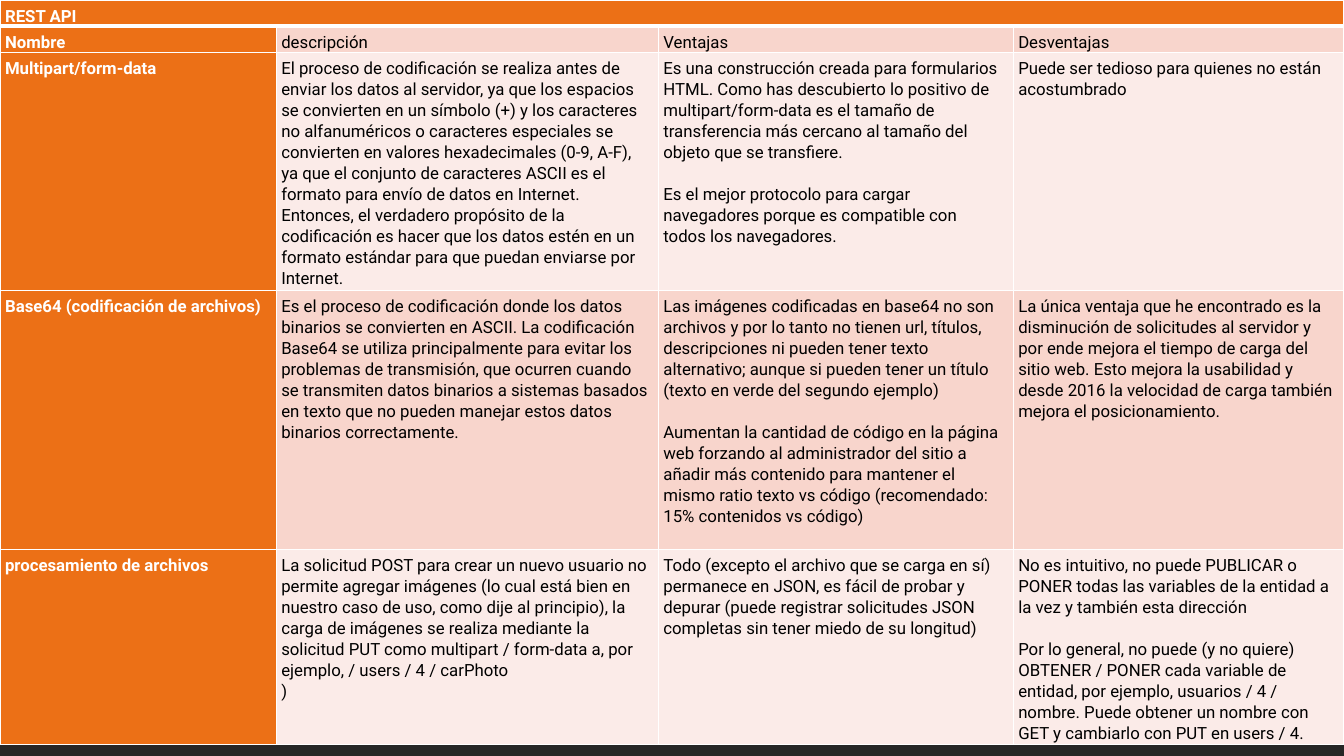
import pptx
import pptx.dml.color
import pptx.enum.shapes
import pptx.oxml
import pptx.oxml.ns
import pptx.util

Inches, Pt = pptx.util.Inches, pptx.util.Pt
ORANGE, ROSE, PALE, WHITE, BLACK, CHARCOAL = "EC7016", "F8D5CC", "FBEBE8", "FFFFFF", "000000", "262626"
LINE_HEIGHT = 15

COLUMN_WIDTHS = [2.74, 3.79, 3.52, 3.28]
ROW_HEIGHTS = [0.25, 0.25, 2.36, 2.57, 1.94]
COMPARISON = [
    [["REST API"], [], [], []],
    [["Nombre"], ["descripción"], ["Ventajas"], ["Desventajas"]],
    [
        ["Multipart/form-data"],
        ["El proceso de codificación se realiza antes de enviar los datos al servidor, ya que los "
         "espacios se convierten en un símbolo (+) y los caracteres no alfanuméricos o caracteres "
         "especiales se convierten en valores hexadecimales (0-9, A-F), ya que el conjunto de "
         "caracteres ASCII es el formato para envío de datos en Internet. Entonces, el verdadero "
         "propósito de la codificación es hacer que los datos estén en un formato estándar para "
         "que puedan enviarse por Internet."],
        ["Es una construcción creada para formularios HTML. Como has descubierto lo positivo "
         "de multipart/form-data es el tamaño de transferencia más cercano al tamaño del objeto "
         "que se transfiere.",
         "Es el mejor protocolo para cargar navegadores porque es compatible con todos los "
         "navegadores."],
        ["Puede ser tedioso para quienes no están acostumbrado"],
    ],
    [
        ["Base64 (codificación de archivos)"],
        ["Es el proceso de codificación donde los datos binarios se convierten en ASCII. La "
         "codificación Base64 se utiliza principalmente para evitar los problemas de transmisión, "
         "que ocurren cuando se transmiten datos binarios a sistemas basados en texto que no "
         "pueden manejar estos datos binarios correctamente."],
        ["Las imágenes codificadas en base64 no son archivos y por lo tanto no tienen url, "
         "títulos, descripciones ni pueden tener texto alternativo; aunque si pueden tener un "
         "título (texto en verde del segundo ejemplo)",
         "Aumentan la cantidad de código en la página web forzando al administrador del sitio a "
         "añadir más contenido para mantener el mismo ratio texto vs código (recomendado: 15% "
         "contenidos vs código)"],
        ["La única ventaja que he encontrado es la disminución de solicitudes al servidor y por "
         "ende mejora el tiempo de carga del sitio web. Esto mejora la usabilidad y desde 2016 la "
         "velocidad de carga también mejora el posicionamiento."],
    ],
    [
        ["procesamiento de archivos"],
        ["La solicitud POST para crear un nuevo usuario no permite agregar imágenes (lo cual está "
         "bien en nuestro caso de uso, como dije al principio), la carga de imágenes se realiza "
         "mediante la solicitud PUT como multipart / form-data a, por ejemplo, / users / 4 / "
         "carPhoto\v)"],
        ["Todo (excepto el archivo que se carga en sí) permanece en JSON, es fácil de probar y "
         "depurar (puede registrar solicitudes JSON completas sin tener miedo de su longitud)"],
        ["No es intuitivo, no puede PUBLICAR o PONER todas las variables de la entidad a la vez y "
         "también esta dirección",
         "Por lo general, no puede (y no quiere) OBTENER / PONER cada variable de entidad, por "
         "ejemplo, usuarios / 4 / nombre. Puede obtener un nombre con GET y cambiarlo con PUT en "
         "users / 4."],
    ],
]


def paint(target, colour):
    target.solid()
    target.fore_color.rgb = pptx.dml.color.RGBColor.from_string(colour)


def write(frame, paragraphs, *, colour=BLACK, bold=False, size=12, font="Roboto", gap=LINE_HEIGHT):
    for index, words in enumerate(paragraphs):
        paragraph = frame.paragraphs[0] if index == 0 else frame.add_paragraph()
        paragraph.text = words
        paragraph.line_spacing = 1.07
        paragraph.space_before = Pt(gap if index else 0)
        for run in paragraph.runs:
            run.font.name = font
            run.font.size = Pt(size)
            run.font.bold = bold
            paint(run.font.fill, colour)


class ComparisonSlide:
    """Draws the styled elements of one slide."""

    def __init__(self, slide):
        self.slide = slide
        self.border_colour = WHITE
        self.margins = {"margin_left": 0.05, "margin_top": 0.05, "margin_right": 0.1, "margin_bottom": 0}

    def band(self, left, top, width, height, colour):
        band = self.slide.shapes.add_shape(
            pptx.enum.shapes.MSO_SHAPE.RECTANGLE, Inches(left), Inches(top), Inches(width), Inches(height))
        band.shadow.inherit = False
        paint(band.fill, colour)
        band.line.fill.background()

    def border(self, cell, side, points):
        cell._tc.get_or_add_tcPr().append(pptx.oxml.parse_xml(
            f'<a:ln{side} {pptx.oxml.ns.nsdecls("a")} w="{Pt(points)}"><a:solidFill>'
            f'<a:srgbClr val="{self.border_colour}"/></a:solidFill></a:ln{side}>'))

    def cell(self, cell, paragraphs, fill, bottom_border, **text_format):
        for margin, inches in self.margins.items():
            setattr(cell, margin, Inches(inches))
        for side, points in {"L": 1, "R": 1, "T": 1, "B": bottom_border}.items():
            self.border(cell, side, points)
        paint(cell.fill, fill)
        write(cell.text_frame, paragraphs, **text_format)

    def table(self, rows, widths, heights):
        table = self.slide.shapes.add_table(
            len(rows), len(widths), 0, 0, Inches(sum(widths)), Inches(sum(heights))).table
        table.horz_banding = False
        table.first_col = True
        for column, width in zip(table.columns, widths):
            column.width = Inches(width)
        for row, height in zip(table.rows, heights):
            row.height = Inches(height)
        table.cell(0, 0).merge(table.cell(0, len(widths) - 1))
        for r, row in enumerate(rows):
            for c, paragraphs in enumerate(row):
                heading = r == 0 or c == 0
                fill = ORANGE if heading else ROSE if r % 2 else PALE
                self.cell(table.cell(r, c), paragraphs, fill, 3 if r == 0 else 1,
                          colour=WHITE if heading else BLACK, bold=heading)


def main():
    presentation = pptx.Presentation()
    presentation.slide_width, presentation.slide_height = Inches(13.33), Inches(7.5)
    comparison = ComparisonSlide(presentation.slides.add_slide(presentation.slide_layouts[6]))
    comparison.band(0, 7, 13.33, 0.5, CHARCOAL)
    comparison.table(COMPARISON, COLUMN_WIDTHS, ROW_HEIGHTS)
    presentation.save("out.pptx")


if __name__ == "__main__":
    main()
